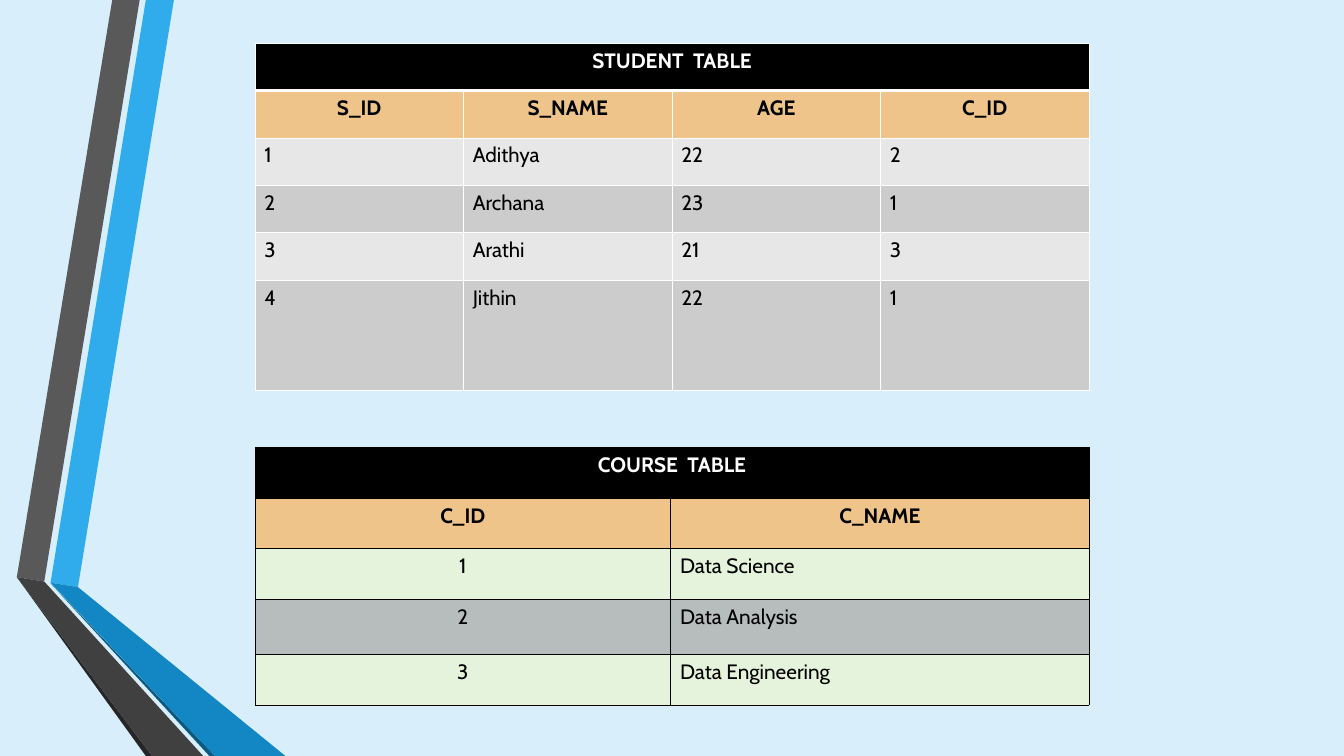
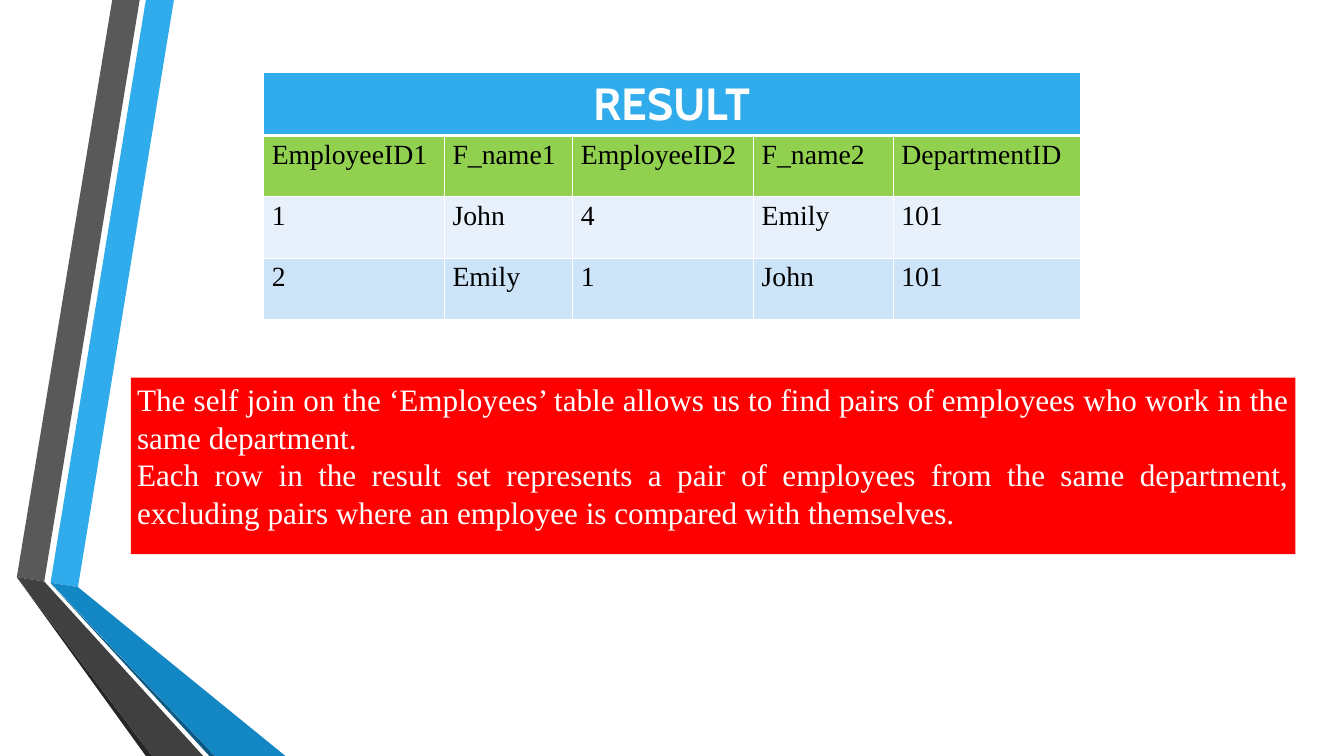
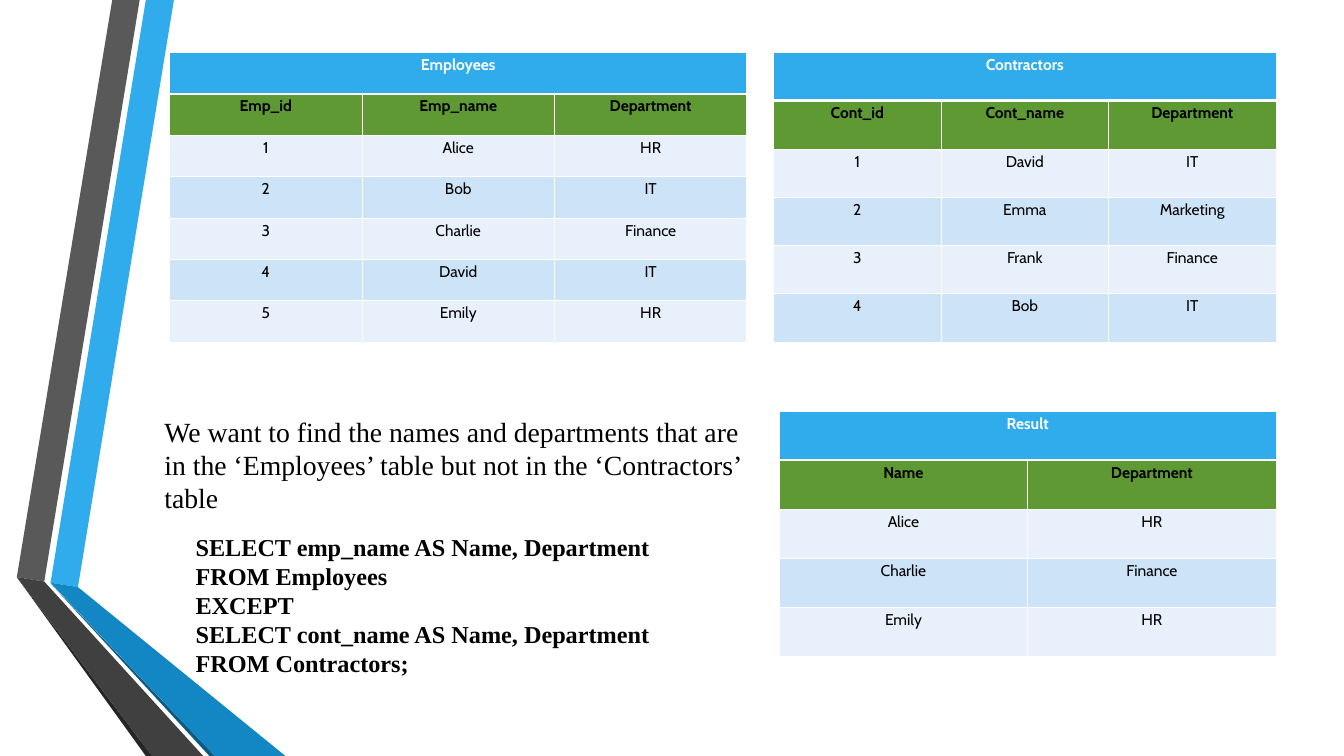
import dataclasses

import pptx
import pptx.dml.color
import pptx.enum.shapes
import pptx.enum.text
import pptx.oxml
import pptx.oxml.ns
import pptx.util

RGBColor = pptx.dml.color.RGBColor
WHITE = RGBColor(0xFF, 0xFF, 0xFF)
BLACK = RGBColor(0x00, 0x00, 0x00)
PALE_BLUE = RGBColor(0xD8, 0xEF, 0xFB)
SKY = RGBColor(0x30, 0xAC, 0xEC)
BLUE = RGBColor(0x12, 0x87, 0xC3)
DEEP_BLUE = RGBColor(0x0C, 0x5A, 0x82)
GREY = RGBColor(0x59, 0x59, 0x59)
DARK_GREY = RGBColor(0x40, 0x40, 0x40)
CHARCOAL = RGBColor(0x26, 0x26, 0x26)
SAND = RGBColor(0xEE, 0xC4, 0x8B)
LIME = RGBColor(0x92, 0xD0, 0x50)
GREEN = RGBColor(0x5F, 0x99, 0x34)
RED = RGBColor(0xFF, 0x00, 0x00)
GREY_BANDS = (RGBColor(0xE7, 0xE7, 0xE7), RGBColor(0xCC, 0xCC, 0xCC))
MINT_BANDS = (RGBColor(0xE6, 0xF3, 0xDC), RGBColor(0xB7, 0xBC, 0xBD))
BLUE_BANDS = (RGBColor(0xE8, 0xF1, 0xFB), RGBColor(0xCD, 0xE3, 0xF8))

SANS = "Cabin"
SERIF = "Times New Roman"
LEFT = pptx.enum.text.PP_ALIGN.LEFT
CENTER = pptx.enum.text.PP_ALIGN.CENTER
JUSTIFY = pptx.enum.text.PP_ALIGN.JUSTIFY

# Corners in percent of the slide's width and height
RIBBONS = [
    (SKY, [(3.76, 77.08), (5.8, 77.66), (12.94, 0), (10.85, 0)]),
    (GREY, [(10.39, 0), (8.35, 0), (1.25, 76.34), (3.29, 76.92)]),
    (CHARCOAL, [(1.25, 76.34), (10.85, 100), (11.32, 100)]),
    (DEEP_BLUE, [(3.76, 77.16), (15.58, 100), (16, 100)]),
    (BLUE, [(3.76, 77.08), (16, 100), (21.24, 100), (5.8, 77.66)]),
    (DARK_GREY, [(15.12, 100), (3.29, 76.92), (1.25, 76.34), (11.32, 100)]),
]


@dataclasses.dataclass(frozen=True)
class TableStyle:
    title_fill: RGBColor = SKY
    header_fill: RGBColor = GREEN
    bands: tuple = BLUE_BANDS
    title_size: float = 18
    size: float = 18
    font: str = SANS
    header_bold: bool = True
    header_align: int = CENTER
    first_align: int = CENTER
    body_align: int = CENTER
    insets: tuple = (0.1, 0.05)
    border: RGBColor = WHITE
    title_rule: float = 3


COMPACT = TableStyle()
STUDENT = TableStyle(BLACK, SAND, GREY_BANDS, 24, 24, first_align=LEFT,
                     body_align=LEFT, insets=(0.15, 0.08))
COURSE = dataclasses.replace(STUDENT, bands=MINT_BANDS, first_align=CENTER,
                             border=BLACK, title_rule=1)
RESULT = TableStyle(header_fill=LIME, title_size=52, size=32, font=SERIF,
                    header_bold=False, header_align=LEFT, first_align=LEFT,
                    body_align=LEFT, insets=(0.13, 0.07))


def write_text(paragraph, text, *, size, font=SERIF, color=BLACK, bold=False,
               align=LEFT, indent=0, space_before=0):
    paragraph.alignment = align
    paragraph.space_before = pptx.util.Pt(space_before)
    if indent:
        properties = paragraph._p.get_or_add_pPr()
        properties.set("marL", str(pptx.util.Inches(indent)))
        properties.set("indent", "0")
    run = paragraph.add_run()
    run.text = text
    run.font.name = font
    run.font.size = pptx.util.Pt(size)
    run.font.bold = bold
    run.font.color.rgb = color


def set_borders(cell, color, top, bottom):
    properties = cell._tc.get_or_add_tcPr()
    for side, points in (("L", 1), ("R", 1), ("T", top), ("B", bottom)):
        properties.append(pptx.oxml.parse_xml(
            f'<a:ln{side} {pptx.oxml.ns.nsdecls("a")} w="{pptx.util.Pt(points)}">'
            f'<a:solidFill><a:srgbClr val="{color}"/></a:solidFill></a:ln{side}>'))


class Deck:
    """Holds the presentation and the current slide; lengths are percent of the slide."""

    def __init__(self):
        self.presentation = pptx.Presentation()
        self.presentation.slide_width = pptx.util.Inches(21.56)
        self.presentation.slide_height = pptx.util.Inches(12.13)
        self.slide = None

    def x(self, percent):
        return round(self.presentation.slide_width * percent / 100)

    def y(self, percent):
        return round(self.presentation.slide_height * percent / 100)

    def box(self, left, top, width, height):
        return self.x(left), self.y(top), self.x(width), self.y(height)

    def add_slide(self, background=WHITE):
        layout = self.presentation.slide_layouts[6]
        self.slide = self.presentation.slides.add_slide(layout)
        fill = self.slide.background.fill
        fill.solid()
        fill.fore_color.rgb = background
        for color, corners in RIBBONS:
            self.add_polygon(color, corners)

    def paint(self, shape, color):
        shape.shadow.inherit = False
        shape.fill.solid()
        shape.fill.fore_color.rgb = color
        shape.line.fill.background()

    def add_polygon(self, color, corners):
        points = [(self.x(x), self.y(y)) for x, y in corners]
        builder = self.slide.shapes.build_freeform(*points[0])
        builder.add_line_segments(points[1:], close=True)
        self.paint(builder.convert_to_shape(), color)

    def add_text(self, box, paragraphs, fill=None, **text_format):
        """Add a box of (text, own format) pairs that share text_format."""
        if fill is None:
            shape = self.slide.shapes.add_textbox(*self.box(*box))
        else:
            rectangle = pptx.enum.shapes.MSO_SHAPE.RECTANGLE
            shape = self.slide.shapes.add_shape(rectangle, *self.box(*box))
            self.paint(shape, fill)
        frame = shape.text_frame
        frame.word_wrap = True
        frame.vertical_anchor = pptx.enum.text.MSO_ANCHOR.TOP
        for index, (text, own_format) in enumerate(paragraphs):
            paragraph = frame.add_paragraph() if index else frame.paragraphs[0]
            write_text(paragraph, text, **{**text_format, **own_format})

    def add_table(self, box, title, rows, style, column_weights=None, row_weights=None):
        """Add a table with a merged title row, a header row and banded rows."""
        rows = [[title] + [""] * (len(rows[0]) - 1)] + rows
        left, top, width, height = self.box(*box)
        table = self.slide.shapes.add_table(
            len(rows), len(rows[0]), left, top, width, height).table
        table.first_row = table.horz_banding = False
        column_weights = column_weights or [1] * len(rows[0])
        row_weights = row_weights or [1] * len(rows)
        for column, weight in zip(table.columns, column_weights):
            column.width = round(width * weight / sum(column_weights))
        for row, weight in zip(table.rows, row_weights):
            row.height = round(height * weight / sum(row_weights))
        for row_index, row in enumerate(rows):
            for column_index, text in enumerate(row):
                cell = table.cell(row_index, column_index)
                self.format_cell(cell, text, row_index, column_index, style)
        table.cell(0, 0).merge(table.cell(0, len(rows[0]) - 1))

    def format_cell(self, cell, text, row, column, style):
        text_format = {"size": style.size, "font": style.font}
        if row == 0:
            fill = style.title_fill
            text_format = {"size": style.title_size, "font": SANS, "color": WHITE,
                           "bold": True, "align": CENTER}
        elif row == 1:
            fill = style.header_fill
            text_format.update(bold=style.header_bold, align=style.header_align)
        else:
            fill = style.bands[row % 2]
            text_format["align"] = style.body_align if column else style.first_align
        set_borders(cell, style.border, top=style.title_rule if row == 1 else 1,
                    bottom=style.title_rule if row == 0 else 1)
        cell.fill.solid()
        cell.fill.fore_color.rgb = fill
        horizontal, vertical = map(pptx.util.Inches, style.insets)
        cell.margin_left = cell.margin_right = horizontal
        cell.margin_top = cell.margin_bottom = vertical
        if text:
            write_text(cell.text_frame.paragraphs[0], text, **text_format)


def add_student_slide(deck):
    deck.add_slide(PALE_BLUE)
    deck.add_table((18.97, 5.69, 62.06, 46), "STUDENT  TABLE", [
        ["S_ID", "S_NAME", "AGE", "C_ID"],
        ["1", "Adithya", "22", "2"],
        ["2", "Archana", "23", "1"],
        ["3", "Arathi", "21", "3"],
        ["4", "Jithin", "22", "1"],
    ], STUDENT, row_weights=[1, 1, 1, 1, 1, 2.33])
    deck.add_table((18.97, 59.19, 62.06, 34.05), "COURSE  TABLE", [
        ["C_ID", "C_NAME"],
        ["1", "Data Science"],
        ["2", "Data Analysis"],
        ["3", "Data Engineering"],
    ], COURSE, column_weights=[6.67, 6.71], row_weights=[1, 1, 1, 1.09, 1])


def add_self_join_slide(deck):
    deck.add_slide()
    deck.add_table((19.62, 9.56, 60.76, 32.6), "RESULT", [
        ["EmployeeID1", "F_name1", "EmployeeID2", "F_name2", "DepartmentID"],
        ["1", "John", "4", "Emily", "101"],
        ["2", "Emily", "1", "John", "101"],
    ], RESULT, column_weights=[2.9, 2.06, 2.9, 2.24, 3],
        row_weights=[1, 0.97, 0.99, 0.99])
    deck.add_text((9.74, 49.96, 86.64, 23.33), [
        ("The self join on the ‘Employees’ table allows us to find pairs of "
         "employees who work in the same department.", {}),
        ("Each row in the result set represents a pair of employees from the same "
         "department, excluding pairs where an employee is compared with "
         "themselves.", {}),
    ], fill=RED, size=36, color=WHITE, align=JUSTIFY)


def add_except_slide(deck):
    deck.add_slide()
    deck.add_table((12.62, 6.92, 42.95, 38.33), "Employees", [
        ["Emp_id", "Emp_name", "Department"],
        ["1", "Alice", "HR"],
        ["2", "Bob", "IT"],
        ["3", "Charlie", "Finance"],
        ["4", "David", "IT"],
        ["5", "Emily", "HR"],
    ], COMPACT)
    deck.add_table((57.56, 6.92, 37.38, 38.33), "Contractors", [
        ["Cont_id", "Cont_name", "Department"],
        ["1", "David", "IT"],
        ["2", "Emma", "Marketing"],
        ["3", "Frank", "Finance"],
        ["4", "Bob", "IT"],
    ], COMPACT)
    query = ["SELECT emp_name AS Name, Department", "FROM Employees", "EXCEPT",
             "SELECT cont_name AS Name, Department", "FROM Contractors;"]
    code = {"size": 28, "bold": True, "indent": 0.5}
    deck.add_text((11.78, 54.41, 44.99, 36.11), [
        ("We want to find the names and departments that are in the ‘Employees’ "
         "table but not in the ‘Contractors’ table", {}),
        (query[0], {**code, "space_before": 21}),
        *((line, code) for line in query[1:]),
    ], size=32)
    deck.add_table((57.98, 54.41, 36.97, 32.4), "Result", [
        ["Name", "Department"],
        ["Alice", "HR"],
        ["Charlie", "Finance"],
        ["Emily", "HR"],
    ], COMPACT)


def main():
    deck = Deck()
    add_student_slide(deck)
    add_self_join_slide(deck)
    add_except_slide(deck)
    deck.presentation.save("out.pptx")


if __name__ == "__main__":
    main()
